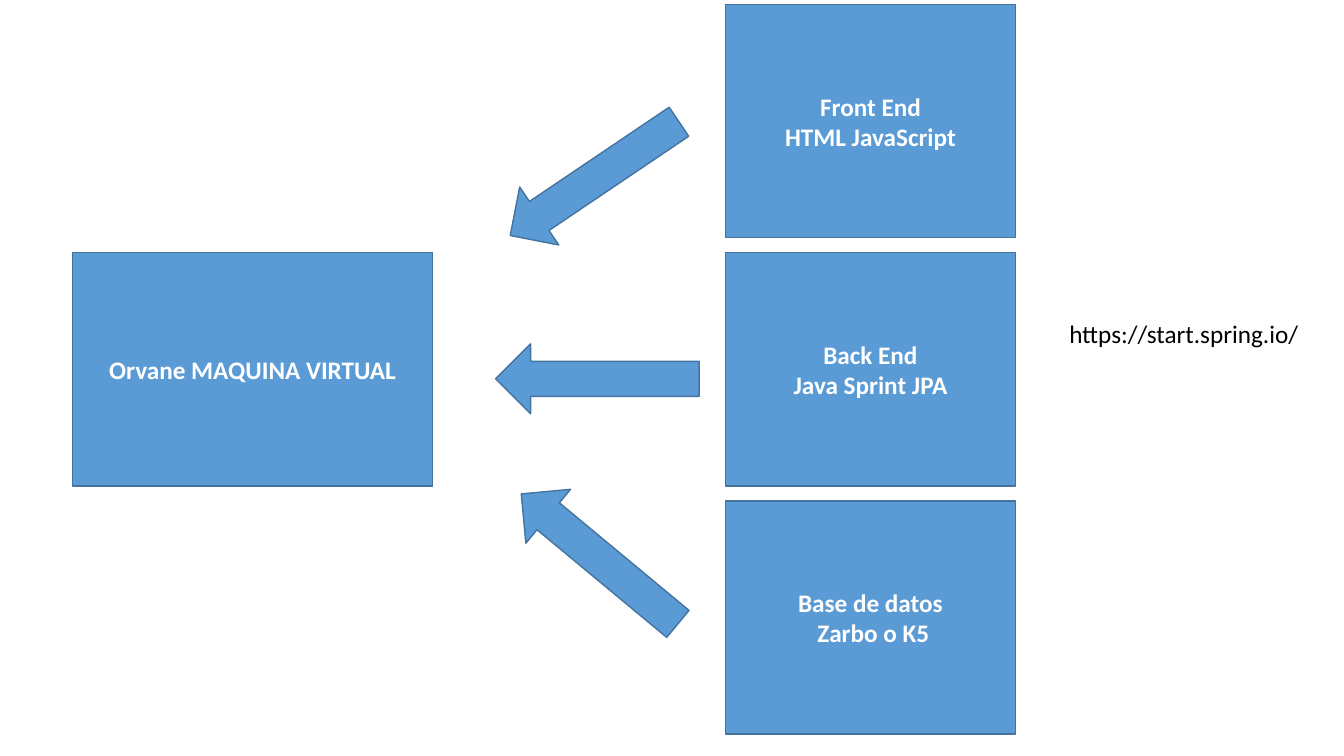
import pptx
import pptx.dml.color
import pptx.enum.shapes
import pptx.enum.text
import pptx.util

Pt = pptx.util.Pt
MSO_SHAPE = pptx.enum.shapes.MSO_SHAPE
PP_ALIGN = pptx.enum.text.PP_ALIGN
MSO_ANCHOR = pptx.enum.text.MSO_ANCHOR


def rgb(value):
    return pptx.dml.color.RGBColor.from_string(value)


def write(tf, text, font="Calibri", size=18, color="000000", bold=False,
          align=PP_ALIGN.LEFT, anchor=MSO_ANCHOR.TOP, wrap=True):
    tf.word_wrap = wrap
    tf.vertical_anchor = anchor
    for i, line in enumerate(text.split("\n")):
        p = tf.paragraphs[0] if i == 0 else tf.add_paragraph()
        p.alignment = align
        r = p.add_run()
        r.text = line
        r.font.name = font
        r.font.size = Pt(size)
        r.font.bold = bold
        r.font.color.rgb = rgb(color)


class Diagram:
    fill = "5B9BD5"
    outline = "43739E"
    box_text = "FFFFFF"

    def __init__(self, slide):
        self.slide = slide

    def shape(self, kind, x, y, w, h):
        sp = self.slide.shapes.add_shape(kind, Pt(x), Pt(y), Pt(w), Pt(h))
        sp.shadow.inherit = False
        sp.fill.solid()
        sp.fill.fore_color.rgb = rgb(self.fill)
        sp.line.color.rgb = rgb(self.outline)
        sp.line.width = Pt(1)
        return sp

    def box(self, text, x, y, w, h):
        sp = self.shape(MSO_SHAPE.RECTANGLE, x, y, w, h)
        write(sp.text_frame, text, color=self.box_text, bold=True,
              align=PP_ALIGN.CENTER, anchor=MSO_ANCHOR.MIDDLE)

    def arrow(self, x, y, w, h, angle):
        self.shape(MSO_SHAPE.RIGHT_ARROW, x, y, w, h).rotation = angle

    def label(self, text, x, y, w, h):
        sp = self.slide.shapes.add_textbox(Pt(x), Pt(y), Pt(w), Pt(h))
        write(sp.text_frame, text, wrap=False)
        sp.text_frame.auto_size = pptx.enum.text.MSO_AUTO_SIZE.SHAPE_TO_FIT_TEXT


def main():
    prs = pptx.Presentation()
    prs.slide_width, prs.slide_height = Pt(960), Pt(540)
    s = prs.slides.add_slide(prs.slide_layouts[6])
    diagram = Diagram(s)

    # Application layers, stacked at an equal pitch
    top, pitch, box_h = 3.4, 177.2, 166.5
    layers = ["Front End\nHTML JavaScript",
              "Back End\nJava Sprint JPA",
              "Base de datos\n Zarbo o K5"]
    for i, text in enumerate(layers):
        diagram.box(text, 518.4, top + i * pitch, 206.8, box_h)

    # Virtual machine, level with the middle layer
    diagram.box("Orvane MAQUINA VIRTUAL", 51.8, top + pitch, 257.4, box_h)

    # Arrows from each layer to the machine
    for x, y, angle in [(352, 102.6, 146), (354, 245.6, 180), (355.6, 374.2, 219.7)]:
        diagram.arrow(x, y, 145.4, 50, angle)

    # Project generator address
    diagram.label("https://start.spring.io/", 756.7, 223.5, 180, 29)

    prs.save("out.pptx")


if __name__ == "__main__":
    main()
